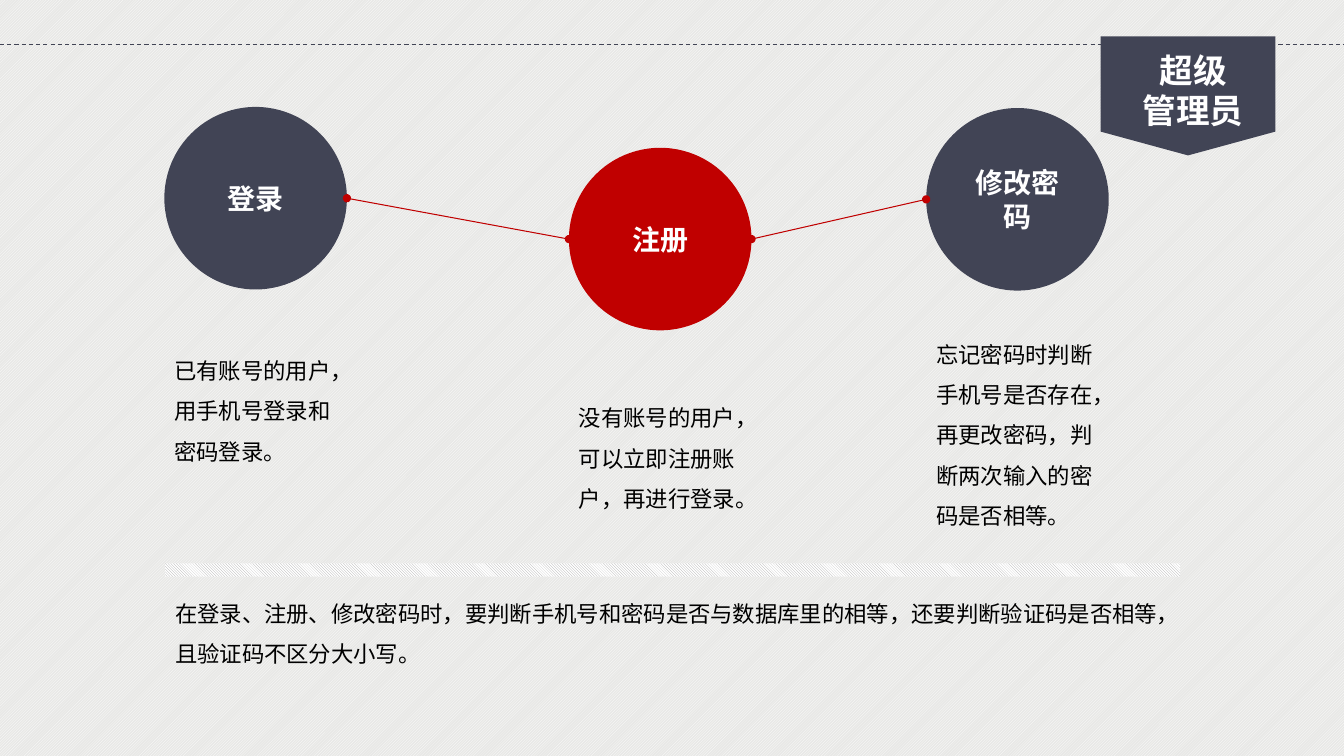
from lxml import etree
from pptx import Presentation
from pptx.dml.color import RGBColor
from pptx.enum.dml import MSO_LINE, MSO_PATTERN
from pptx.enum.shapes import MSO_CONNECTOR, MSO_SHAPE
from pptx.enum.text import MSO_ANCHOR, MSO_AUTO_SIZE, PP_ALIGN
from pptx.oxml.ns import qn
from pptx.util import Pt

STRAIGHT = MSO_CONNECTOR.STRAIGHT
DASH = MSO_LINE.DASH
BACKGROUND_STRIPES = MSO_PATTERN.LIGHT_UPWARD_DIAGONAL
DIVIDER_STRIPES = MSO_PATTERN.DARK_DOWNWARD_DIAGONAL
OVAL, PENNANT, RECTANGLE = MSO_SHAPE.OVAL, MSO_SHAPE.FLOWCHART_OFFPAGE_CONNECTOR, MSO_SHAPE.RECTANGLE
LEFT, CENTER = PP_ALIGN.LEFT, PP_ALIGN.CENTER
TOP, MIDDLE = MSO_ANCHOR.TOP, MSO_ANCHOR.MIDDLE
NO_AUTOFIT = MSO_AUTO_SIZE.NONE

FONT = "Noto Sans CJK SC"
SLATE, RED, WHITE, BLACK = "414455", "C00000", "FFFFFF", "000000"

TITLE_FORMAT = {"size": Pt(24), "bold": True}
CIRCLE_FORMAT = {"size": Pt(20), "bold": True}
BODY_FORMAT = {"size": Pt(16), "bold": False}

DIAMETER = 130.4
# heading, colour, left, circle top, description top, description height, description
STEPS = [
    ("登录", SLATE, 117.4, 76.4, 242, 94.5, "已有账号的用户，用手机号登录和密码登录。"),
    ("注册", RED, 406.4, 105.6, 275.8, 94.5, "没有账号的用户，可以立即注册账户，再进行登录。"),
    ("修改密码", SLATE, 661.6, 77.2, 230.4, 152.6,
     "忘记密码时判断手机号是否存在，再更改密码，判断两次输入的密码是否相等。"),
]
SUMMARY = ("在登录、注册、修改密码时，要判断手机号和密码是否与数据库里的相等，"
           "还要判断验证码是否相等，且验证码不区分大小写。")


def rgb(value):
    return RGBColor.from_string(value)


def place(shape, left, top, width, height):
    shape.left, shape.top, shape.width, shape.height = map(Pt, (left, top, width, height))


def write(shape, lines, color, font_format, frame_format, align=LEFT, spacing=1.0):
    frame = shape.text_frame
    for name, value in frame_format.items():
        setattr(frame, name, value)
    frame.text = "\n".join(lines)
    for paragraph in frame.paragraphs:
        paragraph.alignment = align
        paragraph.line_spacing = spacing
        paragraph.space_before = Pt(0)
        for run in paragraph.runs:
            font = run.font
            for name, value in font_format.items():
                setattr(font, name, value)
            font.color.rgb = rgb(color)
            font.name = FONT
            east_asian = etree.SubElement(run._r.get_or_add_rPr(), qn("a:ea"))
            east_asian.set("typeface", FONT)


def stripe(fill, pattern, fore, back):
    fill.patterned()
    fill.pattern = pattern
    fill.fore_color.rgb = rgb(fore)
    fill.back_color.rgb = rgb(back)


def add_block(slide, kind, left, top, width, height):
    """Add a preset shape without outline or shadow."""
    block = slide.shapes.add_shape(kind, *map(Pt, (left, top, width, height)))
    block.shadow.inherit = False
    block.line.fill.background()
    return block


def add_solid(slide, kind, color, *box):
    block = add_block(slide, kind, *box)
    block.fill.solid()
    block.fill.fore_color.rgb = rgb(color)
    return block


def add_line(slide, start, end, color):
    connector = slide.shapes.add_connector(STRAIGHT, *map(Pt, (*start, *end)))
    connector.line.color.rgb = rgb(color)
    connector.line.width = Pt(0.75)
    etree.SubElement(connector._element.spPr, qn("a:effectLst"))
    return connector


def add_link(slide, start, end):
    """Join two circles with a line that has a dot at each end."""
    link = add_line(slide, start, end, RED)
    outline = link.line._get_or_add_ln()
    for tag in ("a:headEnd", "a:tailEnd"):
        etree.SubElement(outline, qn(tag)).set("type", "oval")


def add_body(slide, text, *box):
    body = slide.shapes.add_textbox(*map(Pt, box))
    write(body, [text], BLACK, BODY_FORMAT, {"word_wrap": True}, spacing=1.5)


def add_title(slide):
    add_solid(slide, PENNANT, SLATE, 786.2, 26, 124.8, 85)
    title = slide.shapes.title
    place(title, 808.6, 31.7, 87.1, 65.5)
    write(title, ["超级", "管理员"], WHITE, TITLE_FORMAT,
          {"word_wrap": False, "auto_size": NO_AUTOFIT, "vertical_anchor": TOP}, CENTER)
    slide.shapes._spTree.append(title._element)


def main():
    deck = Presentation()
    deck.slide_width, deck.slide_height = Pt(960), Pt(540)
    slide = deck.slides.add_slide(deck.slide_layouts.get_by_name("Title Only"))
    stripe(slide.background.fill, BACKGROUND_STRIPES, WHITE, "E8E8E6")

    add_line(slide, (0, 31.7), (960, 31.7), SLATE).line.dash_style = DASH
    add_title(slide)

    for heading, color, left, top, *_ in STEPS:
        circle = add_solid(slide, OVAL, color, left, top, DIAMETER, DIAMETER)
        write(circle, [heading], WHITE, CIRCLE_FORMAT,
              {"word_wrap": True, "vertical_anchor": MIDDLE}, CENTER)

    middles = [(left, top + DIAMETER / 2) for _, _, left, top, *_ in STEPS]
    for (left, middle), target in zip(middles, middles[1:]):
        add_link(slide, (left + DIAMETER, middle), target)

    for _, _, left, _, top, height, description in STEPS:
        add_body(slide, description, left, top, 128.9, height)
    add_body(slide, SUMMARY, 118, 415.6, 736.6, 61.9)

    divider = add_block(slide, RECTANGLE, 118, 402.5, 725, 9.4)
    stripe(divider.fill, DIVIDER_STRIPES, "A6A6A6", WHITE)

    deck.save("out.pptx")


if __name__ == "__main__":
    main()
